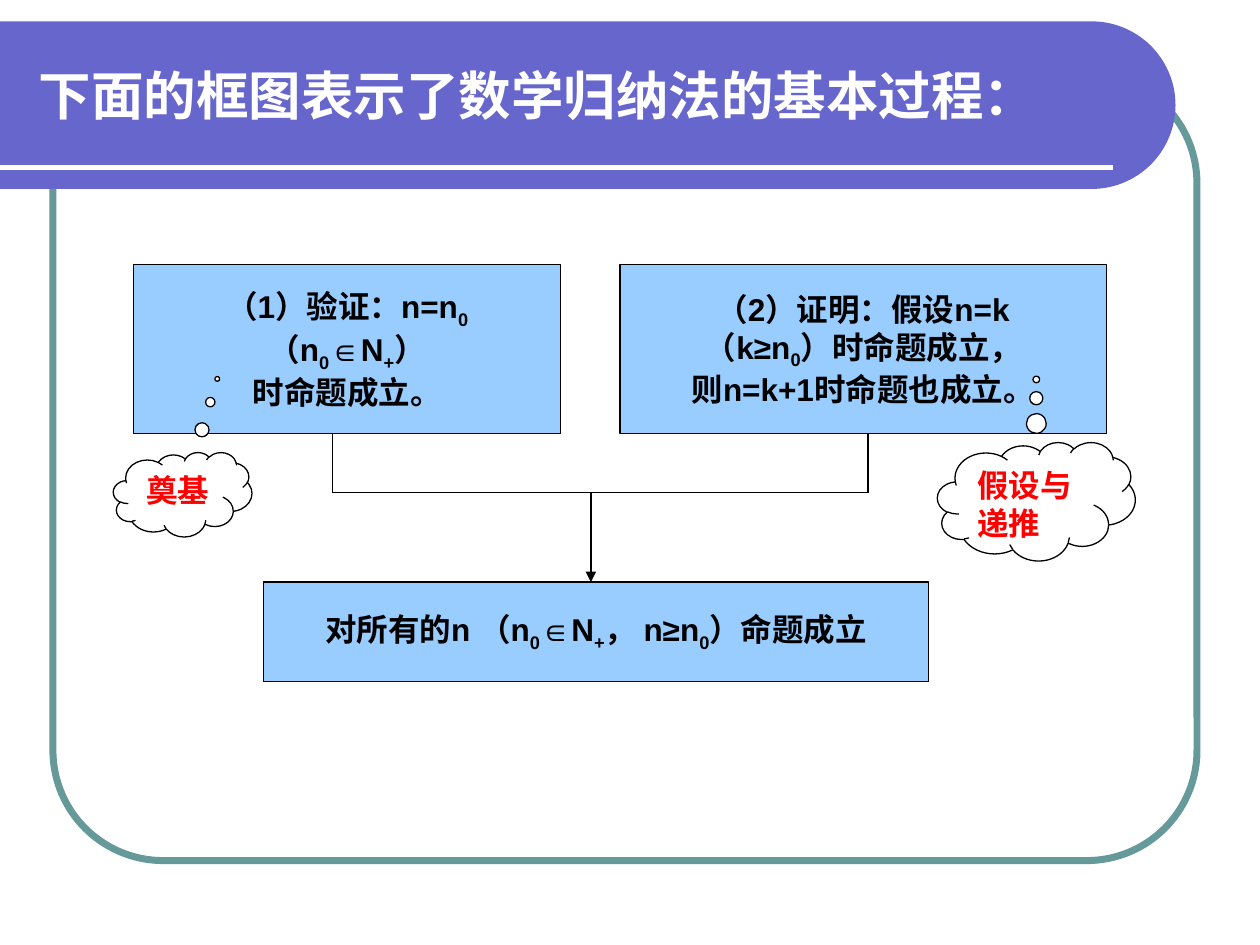
from dataclasses import dataclass
from math import cos, pi, sin

from lxml import etree
from pptx import Presentation
from pptx.dml.color import RGBColor
from pptx.enum.shapes import MSO_CONNECTOR, MSO_SHAPE as Shape
from pptx.enum.text import MSO_ANCHOR as Anchor, PP_ALIGN as Align
from pptx.oxml.ns import qn
from pptx.util import Inches, Pt

COLORS = {
    "banner": "6666CC",
    "frame": "669999",
    "box": "99CCFF",
    "white": "FFFFFF",
    "black": "000000",
    "red": "FF0000",
}
FONT = "Arial"


@dataclass
class Node:
    """A filled shape with text; "_" makes the next character a subscript."""
    left: float
    top: float
    width: float
    height: float
    lines: list[str]
    kind: Shape = Shape.FLOWCHART_PROCESS
    adjustments: tuple[float, ...] = ()
    fill: str = "box"
    color: str = "black"
    anchor: Anchor = Anchor.MIDDLE
    align: Align = Align.CENTER
    wrap: bool = False


@dataclass
class Line:
    start: tuple[float, float]
    end: tuple[float, float]
    color: str = "black"
    width: float = 0.75
    arrow: bool = False


def rgb(name: str) -> RGBColor:
    return RGBColor.from_string(COLORS[name])


def style_shape(sp, fill: str | None, line: str | None, width: float = 0.75) -> None:
    sp.shadow.inherit = False
    if fill:
        sp.fill.solid()
        sp.fill.fore_color.rgb = rgb(fill)
    else:
        sp.fill.background()
    if line:
        sp.line.color.rgb = rgb(line)
        sp.line.width = Pt(width)
    else:
        sp.line.fill.background()


def add_run(p, text: str, size: float, color: str, subscript: bool = False) -> None:
    r = p.add_run()
    r.text = text
    for name, value in {"name": FONT, "size": Pt(size), "bold": True}.items():
        setattr(r.font, name, value)
    r.font.color.rgb = rgb(color)
    if subscript:
        r.font._element.set("baseline", "-25000")


def write_lines(tf, lines: list[str], size: float, color: str, align: Align) -> None:
    for i, text in enumerate(lines):
        p = tf.paragraphs[0] if i == 0 else tf.add_paragraph()
        p.alignment = align
        first, *rest = text.split("_")
        add_run(p, first, size, color)
        for part in rest:
            add_run(p, part[0], size, color, subscript=True)
            if part[1:]:
                add_run(p, part[1:], size, color)


def add_node(s, node: Node) -> None:
    sp = s.shapes.add_shape(node.kind, Inches(node.left), Inches(node.top),
                            Inches(node.width), Inches(node.height))
    for i, value in enumerate(node.adjustments):
        sp.adjustments[i] = value
    style_shape(sp, node.fill, "black")
    tf = sp.text_frame
    tf.word_wrap = node.wrap
    tf.vertical_anchor = node.anchor
    write_lines(tf, node.lines, 18, node.color, node.align)


def add_line(s, line: Line) -> None:
    cx = s.shapes.add_connector(MSO_CONNECTOR.STRAIGHT,
                                *(Inches(v) for v in line.start + line.end))
    cx.line.color.rgb = rgb(line.color)
    cx.line.width = Pt(line.width)
    if line.arrow:
        etree.SubElement(cx.line._get_or_add_ln(), qn("a:tailEnd"), type="triangle")
    etree.SubElement(cx._element.spPr, qn("a:effectLst"))


def add_banner(s, top: float, width: float, height: float) -> None:
    """A band from the left edge with a half-round right end."""
    radius, steps = height / 2, 60
    angles = [pi * (i / steps - 0.5) for i in range(steps + 1)]
    arc = [(width - radius + radius * cos(a), top + radius + radius * sin(a))
           for a in angles]
    fb = s.shapes.build_freeform(0, Inches(top))
    points = arc + [(0, top + height)]
    fb.add_line_segments([(Inches(x), Inches(y)) for x, y in points], close=True)
    style_shape(fb.convert_to_shape(), "banner", None)


def add_title(s, text: str) -> None:
    tb = s.shapes.add_textbox(Inches(0.21), Inches(0.25), Inches(8.77), Inches(1))
    tf = tb.text_frame
    tf.word_wrap = True
    tf.vertical_anchor = Anchor.MIDDLE
    write_lines(tf, [text], 30, "white", Align.LEFT)


# Flow chart levels and columns
STEP_TOP, STEP_H = 2.1, 1.34
STEP_BOTTOM = STEP_TOP + STEP_H
JOIN_Y, RESULT_TOP = 3.91, 4.62
LEFT_X, RIGHT_X, ARROW_X = 2.64, 6.89, 4.69

STEPS = [
    Node(1.06, STEP_TOP, 3.39, STEP_H,
         ["（1）验证：n=n_0", "（n_0∈N_+）", "时命题成立。"]),
    Node(4.92, STEP_TOP, 3.86, STEP_H,
         ["（2）证明：假设n=k", "（k≥n_0）时命题成立，", "则n=k+1时命题也成立。"]),
]
LINES = [
    Line((LEFT_X, STEP_BOTTOM), (LEFT_X, JOIN_Y)),
    Line((RIGHT_X, STEP_BOTTOM), (RIGHT_X, JOIN_Y)),
    Line((LEFT_X, JOIN_Y), (RIGHT_X, JOIN_Y)),
    Line((ARROW_X, JOIN_Y), (ARROW_X, RESULT_TOP), arrow=True),
]
RESULT = Node(2.09, RESULT_TOP, 5.28, 0.79,
              ["对所有的n （n_0∈N_+， n≥n_0）命题成立"])
CLOUD = {"kind": Shape.CLOUD_CALLOUT, "fill": "white", "color": "red",
         "anchor": Anchor.TOP, "wrap": True}
CLOUDS = [
    Node(0.9, 3.59, 1.1, 0.67, ["奠基"], adjustments=(0.25, -1.37), **CLOUD),
    Node(7.44, 3.51, 1.57, 0.94, ["假设与递推"], adjustments=(0, -1.03),
         align=Align.LEFT, **CLOUD),
]


def main() -> None:
    prs = Presentation()
    prs.slide_width, prs.slide_height = Inches(10), Inches(7.5)
    s = prs.slides.add_slide(prs.slide_layouts[6])

    # Frame, banner and title
    frame = s.shapes.add_shape(Shape.ROUNDED_RECTANGLE, Inches(0.42), Inches(0.58),
                               Inches(9.08), Inches(6.25))
    frame.adjustments[0] = 0.14
    style_shape(frame, None, "frame", 4)
    add_banner(s, top=0.17, width=9.33, height=1.33)
    add_line(s, Line((0, 1.33), (8.83, 1.33), "white", 3))
    add_title(s, "下面的框图表示了数学归纳法的基本过程：")

    # Two steps joined into the result, with their thought clouds
    for step in STEPS:
        add_node(s, step)
    for line in LINES:
        add_line(s, line)
    for node in [RESULT, *CLOUDS]:
        add_node(s, node)

    prs.save("out.pptx")


if __name__ == "__main__":
    main()
